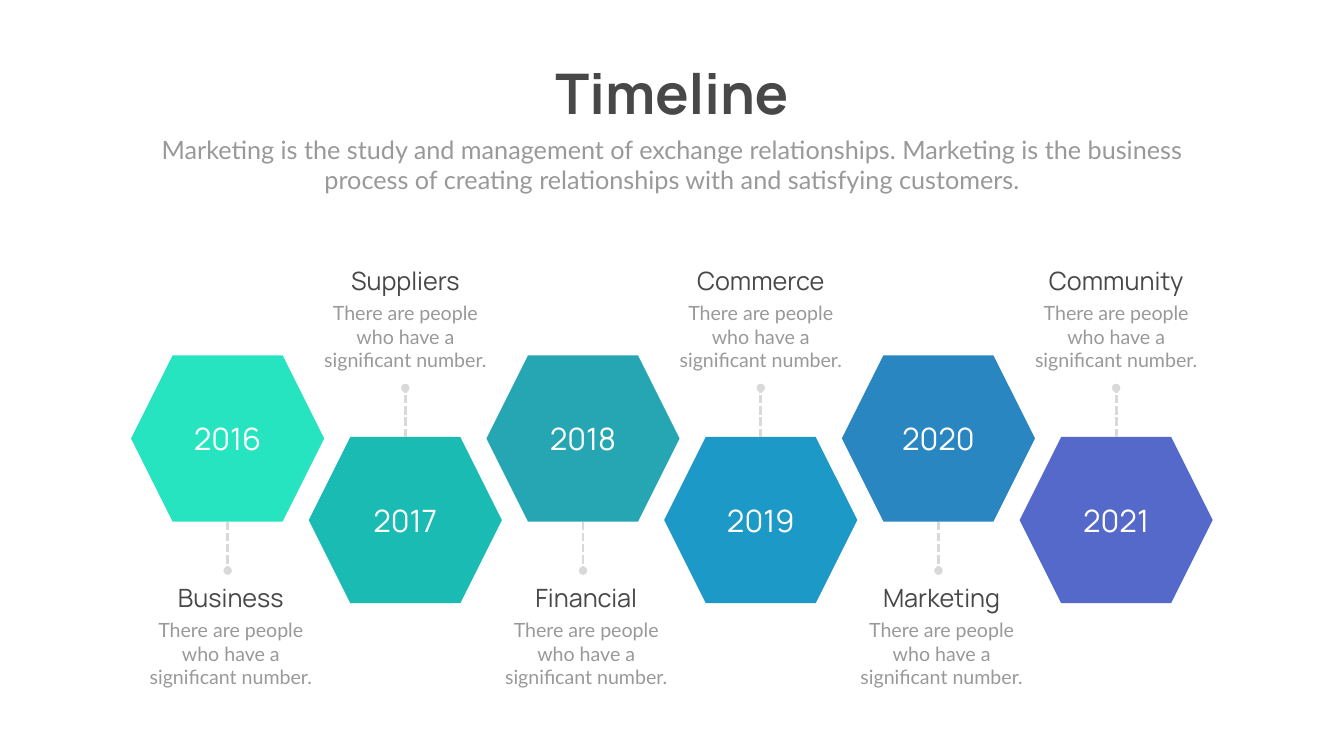
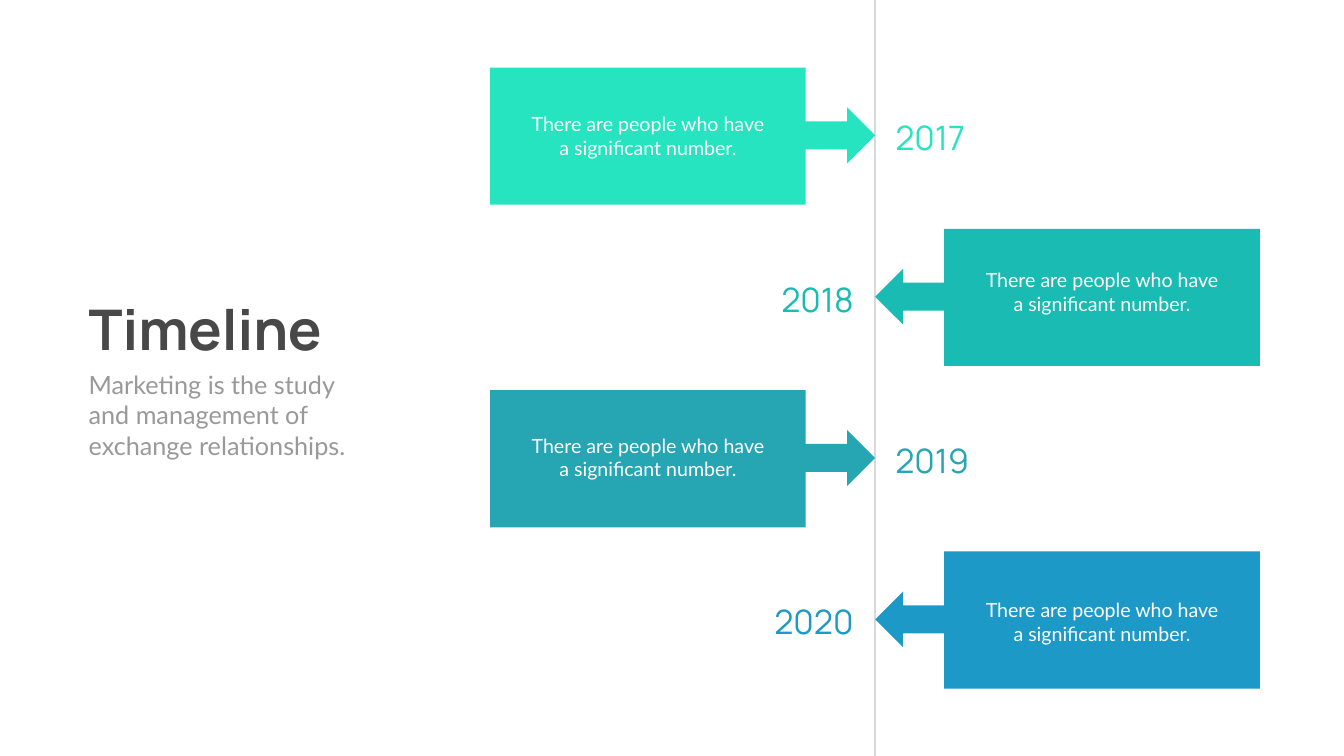
from lxml import etree
from pptx import Presentation
from pptx import util as u
from pptx.dml import color
from pptx.enum import dml, shapes, text
from pptx.oxml import ns

SLIDE_W, SLIDE_H = 1919.5, 1080
HEADING_FONT, BODY_FONT = "Manrope", "Lato"
DARK, GREY, RULE, WHITE = "484848", "999999", "D9D9D9", "FFFFFF"
STEPS = ["26E4C0", "19BBB3", "26A6B2", "1D99C7", "2986C0", "5569CA"]
LEFT, CENTER, RIGHT = text.PP_ALIGN.LEFT, text.PP_ALIGN.CENTER, text.PP_ALIGN.RIGHT
SHAPE = shapes.MSO_SHAPE
BLURB = "There are people who have a significant number."


def rgb(value):
    return color.RGBColor.from_string(value)


def add_text(slide, box, wording, size, font, ink, align=CENTER, bold=False, wrap=True):
    label = slide.shapes.add_textbox(*map(u.Pt, box))
    frame = label.text_frame
    frame.word_wrap = wrap
    frame.auto_size = text.MSO_AUTO_SIZE.SHAPE_TO_FIT_TEXT
    paragraph = frame.paragraphs[0]
    paragraph.alignment = align
    run = paragraph.add_run()
    run.text = wording
    run.font.size = u.Pt(size)
    run.font.name = font
    run.font.bold = bold
    run.font.color.rgb = rgb(ink)


def add_block(slide, kind, box, fill):
    block = slide.shapes.add_shape(kind, *map(u.Pt, box))
    block.shadow.inherit = False
    block.fill.solid()
    block.fill.fore_color.rgb = rgb(fill)
    block.line.fill.background()
    return block


def add_rule(slide, start, end, width, dotted=False):
    rule = slide.shapes.add_connector(
        shapes.MSO_CONNECTOR.STRAIGHT, *map(u.Pt, (*start, *end)))
    rule.line.color.rgb = rgb(RULE)
    rule.line.width = u.Pt(width)
    properties = rule._element.spPr
    if dotted:
        # Square dashes ending in a round dot
        rule.line.dash_style = dml.MSO_LINE.SQUARE_DOT
        outline = properties.find(ns.qn("a:ln"))
        etree.SubElement(outline, ns.qn("a:tailEnd"), type="oval")
    etree.SubElement(properties, ns.qn("a:effectLst"))


def heading(slide, title_box, intro_box, intro, align):
    add_text(slide, title_box, "Timeline", 80, HEADING_FONT, DARK, align, bold=True, wrap=False)
    add_text(slide, intro_box, intro, 36, BODY_FONT, GREY, align)


def milestone(slide, box, year, topic, fill, caption_above):
    """Hexagon with its year, and a caption on a dotted stem above or below."""
    left, top, width, height = box
    middle = left + width / 2
    add_block(slide, SHAPE.HEXAGON, box, fill)
    if caption_above:
        stem_start, stem_end, topic_top = top, top - 70, top - 248.4
        caption_middle = middle
    else:
        stem_start, stem_end = top + height, top + height + 70
        topic_top = top + 321
        caption_middle = middle + 4.5
    add_rule(slide, (middle, stem_start), (middle, stem_end), 4, dotted=True)
    caption_left = caption_middle - 131
    add_text(slide, (caption_left, topic_top, 262, 51), topic, 36, HEADING_FONT, DARK)
    add_text(slide, (caption_left, topic_top + 51, 262, 108.7), BLURB, 28, BODY_FONT, GREY)
    add_text(slide, (middle - 146.5, top + 89, 293, 60.5), year, 44, HEADING_FONT, WHITE)


def event(slide, spine, top, year, fill, blurb_drop, card_on_left):
    """Card on one side of the spine, arrow to the spine, year on the other side."""
    if card_on_left:
        card_left, arrow_left, year_left = spine - 550, spine - 139, spine + 21.6
    else:
        card_left, arrow_left, year_left = spine + 98.6, spine, spine - 186.5
    card = add_block(slide, SHAPE.SNIP_2_DIAG_RECTANGLE, (card_left, top, 450.7, 196), fill)
    card.adjustments[0] = card.adjustments[1] = 0
    arrow = add_block(slide, SHAPE.RIGHT_ARROW, (arrow_left, top + 57, 139, 80), fill)
    arrow.rotation = 0 if card_on_left else 180
    add_text(slide, (year_left, top + 67.5, 162.7, 65.5), year, 48, HEADING_FONT, fill,
             LEFT if card_on_left else RIGHT)
    add_text(slide, (card_left + 41.8, top + blurb_drop, 367.2, 75), BLURB, 28, BODY_FONT, WHITE)


def hexagon_slide(slide):
    heading(slide, (773.3, 80.6, 373, 104.4), (210.2, 188, 1499, 94.3),
            "Marketing is the study and management of exchange relationships. "
            "Marketing is the business process of creating relationships with "
            "and satisfying customers.", CENTER)
    topics = ["Business", "Suppliers", "Financial", "Commerce", "Marketing", "Community"]
    for i, (topic, fill) in enumerate(zip(topics, STEPS)):
        lowered = i % 2 == 1
        box = (187.2 + i * 253.8, 624.2 if lowered else 507.6, 275.8, 237.6)
        milestone(slide, box, str(2016 + i), topic, fill, caption_above=lowered)


def spine_slide(slide):
    heading(slide, (119.5, 417.6, 373, 104.4), (119.5, 524.2, 422.6, 138.2),
            "Marketing is the study and management of exchange relationships.", LEFT)
    spine = 1250
    add_rule(slide, (spine, 0), (spine, SLIDE_H), 3)
    blurb_drops = [60, 52.5, 58.5, 63.5]
    for i, (fill, drop) in enumerate(zip(STEPS, blurb_drops)):
        event(slide, spine, 96.5 + i * 230.4, str(2017 + i), fill, drop,
              card_on_left=i % 2 == 0)


def main():
    deck = Presentation()
    deck.slide_width, deck.slide_height = u.Pt(SLIDE_W), u.Pt(SLIDE_H)
    for build in (hexagon_slide, spine_slide):
        slide = deck.slides.add_slide(deck.slide_layouts[6])
        slide.background.fill.solid()
        slide.background.fill.fore_color.rgb = rgb(WHITE)
        build(slide)
    deck.save("out.pptx")


if __name__ == "__main__":
    main()
